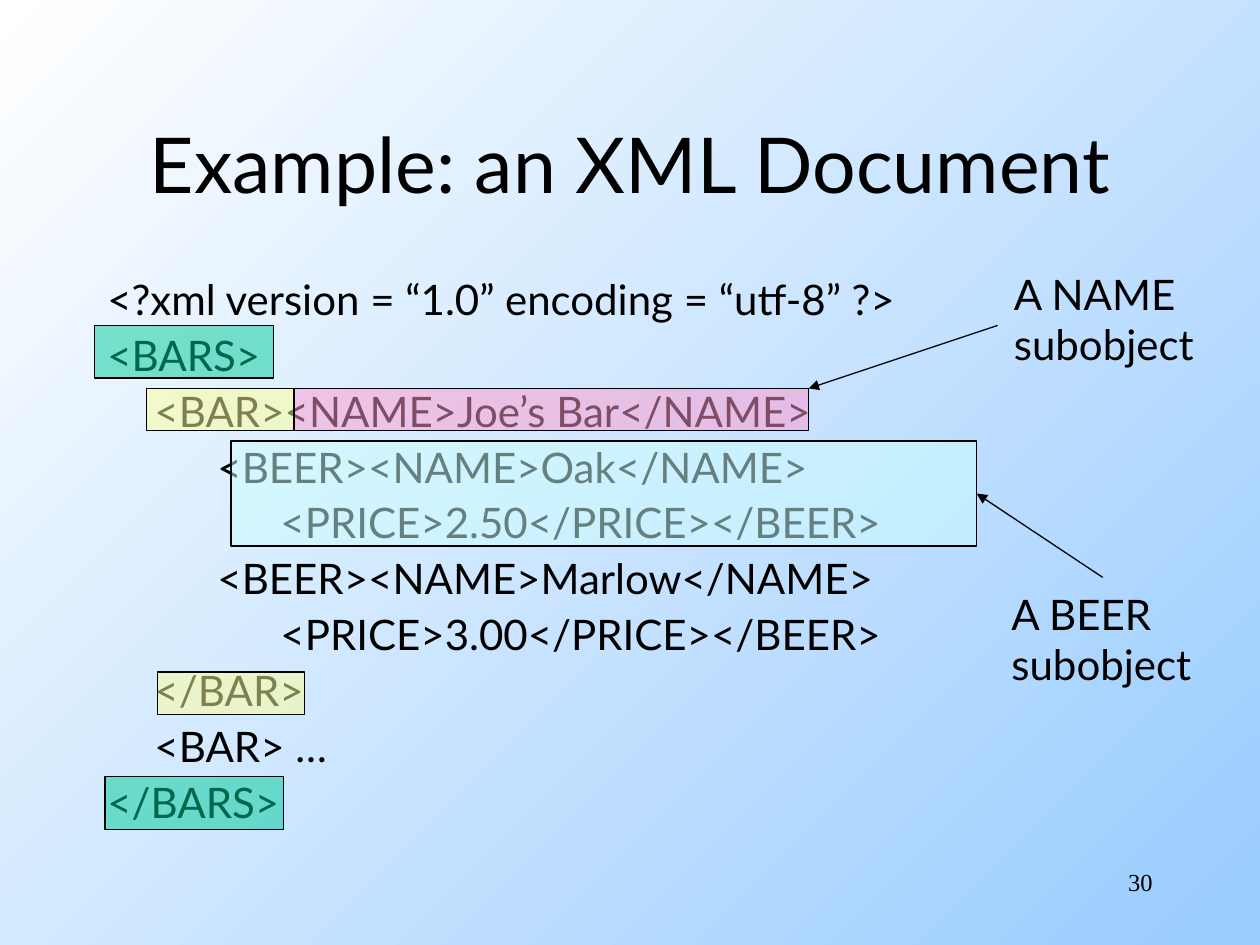
from lxml.etree import SubElement
from pptx import Presentation
from pptx.dml.color import RGBColor
from pptx.enum.shapes import MSO_CONNECTOR, MSO_SHAPE
from pptx.enum.text import MSO_ANCHOR, MSO_AUTO_SIZE, PP_ALIGN
from pptx.oxml.ns import qn
from pptx.util import Cm, Pt

BLACK = "000000"
GREEN, YELLOW, PINK, CYAN = "00CC99", "FFFF99", "FF99CC", "CCFFFF"
TAB_STEP = 2.54
HANGING = 0.95
XML_LINES = [
    "<?xml version = “1.0” encoding = “utf-8” ?>",
    "<BARS>",
    "\t<BAR><NAME>Joe’s Bar</NAME>",
    "\t\t<BEER><NAME>Oak</NAME>",
    "\t\t\t<PRICE>2.50</PRICE></BEER>",
    "\t\t<BEER><NAME>Marlow</NAME>",
    "\t\t\t<PRICE>3.00</PRICE></BEER>",
    "\t</BAR>",
    "\t<BAR> …",
    "</BARS>",
]


def color(value):
    """Turn a hex string into a colour."""
    return RGBColor.from_string(value)


def place(box, left, top, width, height):
    """Move and size a shape, in centimetres."""
    box.left, box.top, box.width, box.height = map(Cm, (left, top, width, height))


def write_text(box, text, size=24, font="Lato", align=PP_ALIGN.LEFT,
               anchor=MSO_ANCHOR.TOP, wrap=True, fit=MSO_AUTO_SIZE.NONE):
    """Fill a box with one paragraph for each line of text."""
    frame = box.text_frame
    frame.word_wrap, frame.auto_size, frame.vertical_anchor = wrap, fit, anchor
    for index, line in enumerate(text.split("\n")):
        para = frame.add_paragraph() if index else frame.paragraphs[0]
        para.alignment = align
        span = para.add_run()
        span.text = line
        span.font.size, span.font.name = Pt(size), font
        span.font.color.rgb = color(BLACK)


def format_code(box):
    """Give code lines a hanging indent, tab stops and no bullets."""
    for para in box.text_frame.paragraphs:
        para.line_spacing, para.space_before = 0.9, Pt(6)
        properties = para._p.get_or_add_pPr()
        properties.set("marL", str(Cm(HANGING)))
        properties.set("indent", str(-Cm(HANGING)))
        SubElement(properties, qn("a:buNone"))
        tabs = SubElement(properties, qn("a:tabLst"))
        for step in range(8):
            SubElement(tabs, qn("a:tab"), pos=str(Cm(step * TAB_STEP)), algn="l")


def add_highlight(page, fill, left, top, width, height):
    """Add a half-transparent outlined rectangle."""
    box = page.shapes.add_shape(
        MSO_SHAPE.RECTANGLE, *map(Cm, (left, top, width, height)))
    box.shadow.inherit = False
    box.fill.solid()
    box.fill.fore_color.rgb = color(fill)
    shade = box._element.spPr.find(qn("a:solidFill"))[0]
    SubElement(shade, qn("a:alpha"), val="50000")
    box.line.color.rgb, box.line.width = color(BLACK), Pt(0.75)
    return box


def add_label(page, text, left, top, width, height, **style):
    """Add a text box."""
    box = page.shapes.add_textbox(*map(Cm, (left, top, width, height)))
    write_text(box, text, **style)


def add_arrow(page, start, end):
    """Add a thin arrow from start to end, in centimetres."""
    arrow = page.shapes.add_connector(
        MSO_CONNECTOR.STRAIGHT, *map(Cm, start + end))
    arrow.line.color.rgb, arrow.line.width = color(BLACK), Pt(0.75)
    SubElement(arrow.line._get_or_add_ln(), qn("a:tailEnd"), type="triangle")
    SubElement(arrow._element.spPr, qn("a:effectLst"))
    return arrow


def paint_background(page):
    """Fill the background with a diagonal gradient."""
    fill = page.background.fill
    fill.gradient()
    fill.gradient_angle = 315
    for stop, value in zip(fill.gradient_stops, ("FFFFFF", "99CCFF")):
        stop.color.rgb = color(value)


def main():
    """Build the slide and save it."""
    deck = Presentation()
    deck.slide_width, deck.slide_height = Cm(25.4), Cm(19.05)
    page = deck.slides.add_slide(deck.slide_layouts[1])
    paint_background(page)

    title, body = page.placeholders
    place(title, 1.91, 1.69, 21.59, 3.18)
    write_text(title, "Example: an XML Document", size=44,
               align=PP_ALIGN.CENTER, anchor=MSO_ANCHOR.MIDDLE)
    place(body, 1.91, 5.5, 21.59, 11.43)
    write_text(body, "\n".join(XML_LINES))
    format_code(body)
    add_label(page, "30", 18.2, 17.36, 5.29, 1.27, size=14,
              font="Times New Roman", align=PP_ALIGN.RIGHT)

    for left, top in ((1.91, 6.56), (2.12, 15.66)):
        add_highlight(page, GREEN, left, top, 3.6, 1.06)
    for left, top in ((2.96, 7.83), (3.18, 13.55)):
        add_highlight(page, YELLOW, left, top, 2.96, 0.85)
    add_highlight(page, PINK, 5.93, 7.83, 10.37, 0.85)
    beer = add_highlight(page, CYAN, 4.66, 8.89, 15.03, 2.12)

    for name, left, top in (("NAME", 20.19, 5.29), ("BEER", 20.14, 11.74)):
        add_label(page, f"A {name}\nsubobject", left, top, 4.39, 2.29,
                  wrap=False, fit=MSO_AUTO_SIZE.SHAPE_TO_FIT_TEXT)
    add_arrow(page, (20.11, 6.56), (16.3, 7.83))
    add_arrow(page, (22.23, 11.64), (19.69, 9.95)).end_connect(beer, 3)

    deck.save("out.pptx")


if __name__ == "__main__":
    main()
